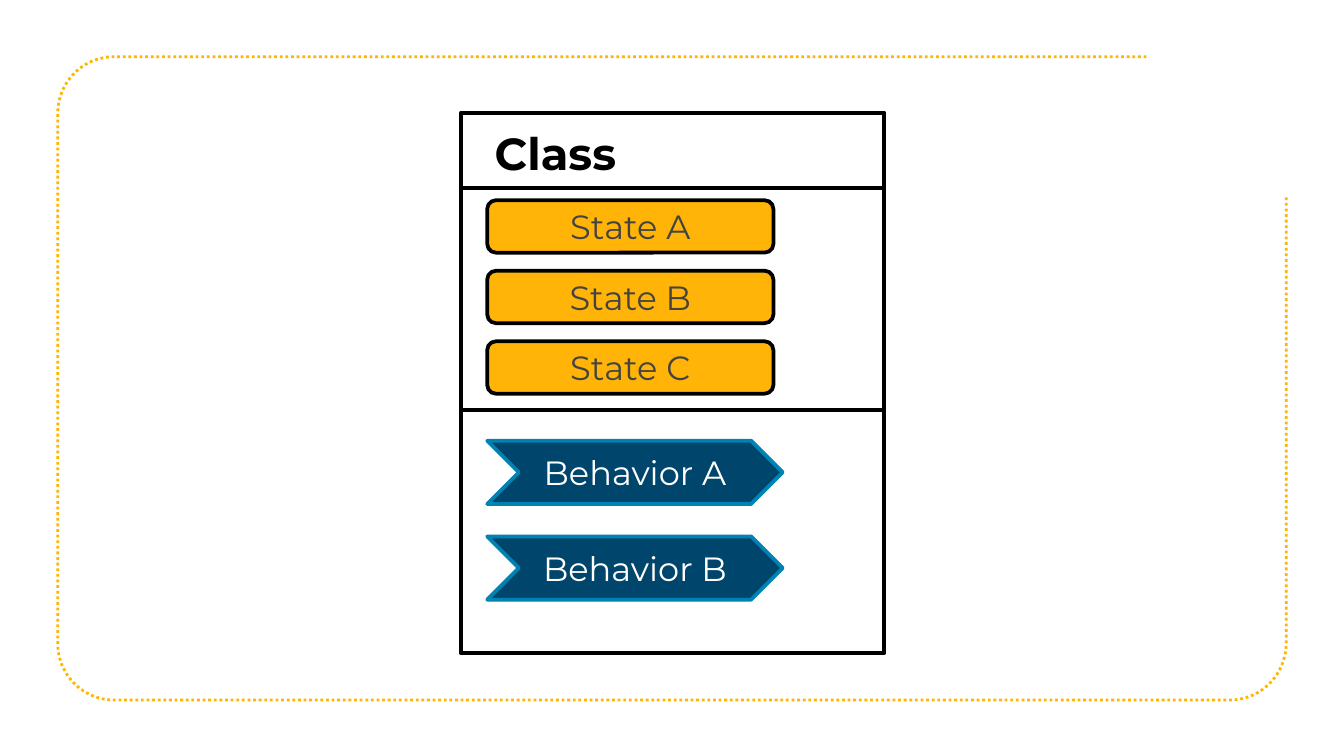
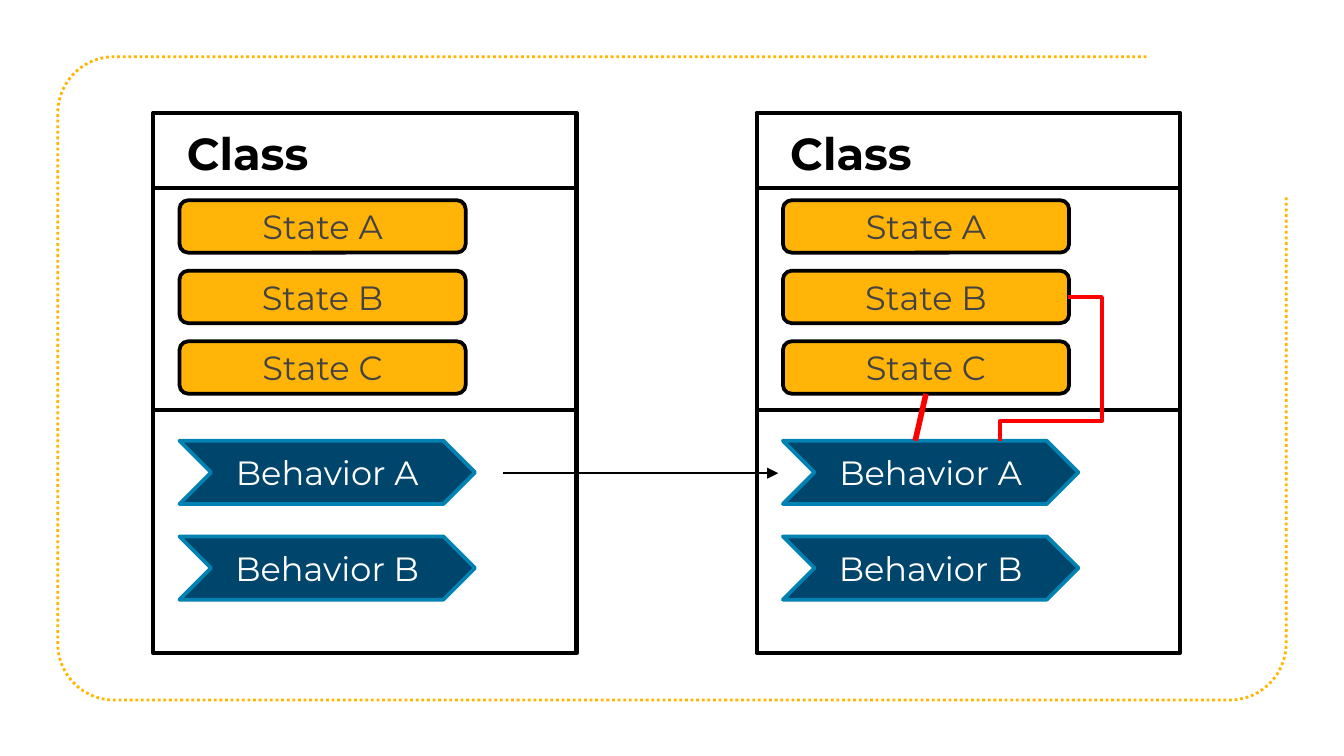
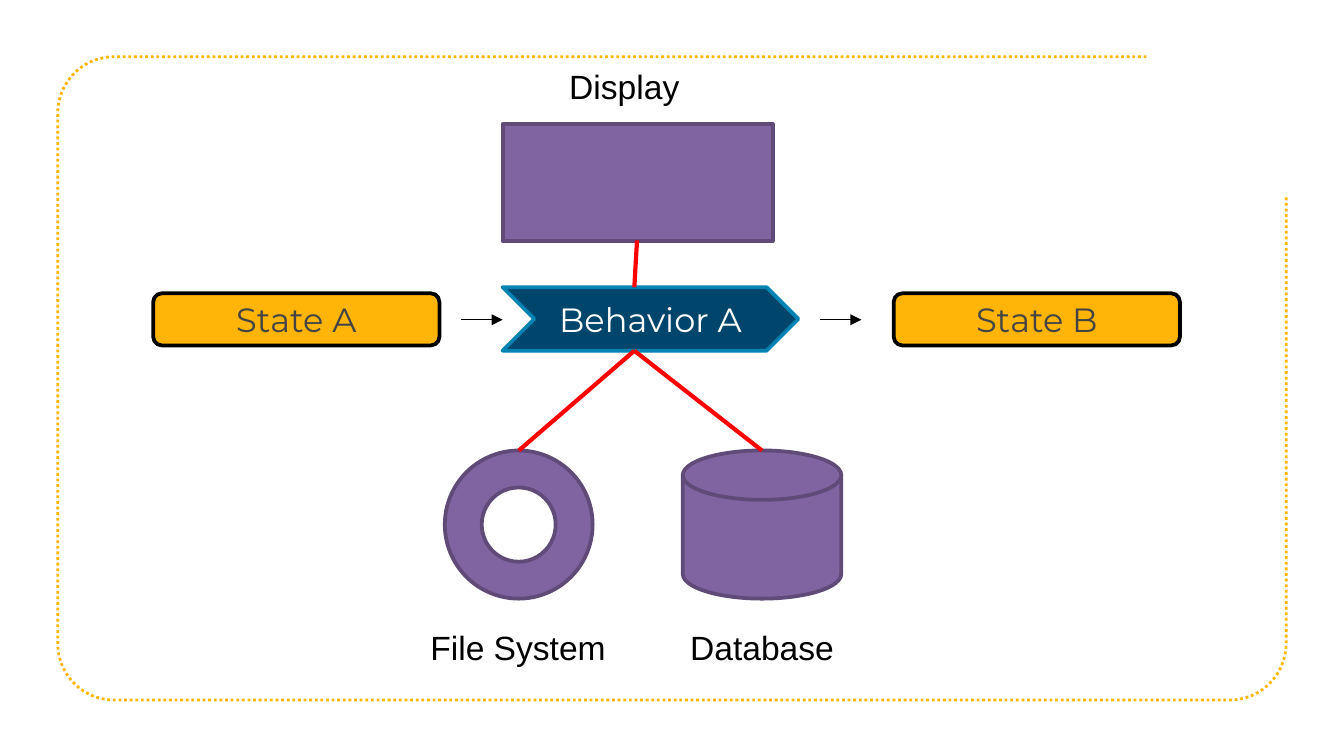
import math

from lxml import etree
from pptx import Presentation
from pptx import util as u
from pptx.dml.color import RGBColor
from pptx.enum import dml, shapes, text
from pptx.oxml.ns import qn

KIND = shapes.MSO_SHAPE
LINK = shapes.MSO_CONNECTOR
INK, RED, GREY, WHITE = "000000", "FF0000", "434343", "FFFFFF"
GOLD, AMBER = "FFB600", "FFB407"
NAVY, TEAL = "00456B", "0082B2"
PLUM, GRAPE = "8064A2", "5F4A78"
HEAD, BODY = "Montserrat", "Arial"

# Boxes are left, top, width, height in EMU; parts are in percent of a box
PAGE = (0, 0, u.Inches(10), u.Inches(5.625))


def color(code):
    return RGBColor.from_string(code)


def spot(box, x, y):
    left, top, wide, high = box
    return round(left + wide * x / 100), round(top + high * y / 100)


def part(box, x, y, w, h):
    return (*spot(box, x, y), round(box[2] * w / 100), round(box[3] * h / 100))


def stroke(line, code, width):
    line.color.rgb = color(code)
    line.width = u.Pt(width)


def write(frame, words, size, font, code, bold=False, center=True):
    para = frame.paragraphs[0]
    para.alignment = text.PP_ALIGN.CENTER if center else text.PP_ALIGN.LEFT
    run = para.add_run()
    run.text = words
    run.font.size = u.Pt(size)
    run.font.name = font
    run.font.bold = bold
    run.font.color.rgb = color(code)


def shape(tree, kind, box, fill, edge, width=2):
    item = tree.add_shape(kind, *box)
    item.shadow.inherit = False
    if fill:
        item.fill.solid()
        item.fill.fore_color.rgb = color(fill)
    else:
        item.fill.background()
    stroke(item.line, edge, width)
    return item


def label(tree, box, words, size=18, font=BODY, **style):
    frame = tree.add_textbox(*box).text_frame
    frame.word_wrap = True
    frame.auto_size = text.MSO_AUTO_SIZE.SHAPE_TO_FIT_TEXT
    write(frame, words, size, font, INK, **style)


def link(tree, start, end, code, width, kind=LINK.STRAIGHT):
    item = tree.add_connector(kind, *start, *end)
    stroke(item.line, code, width)
    etree.SubElement(item._element.spPr, qn("a:effectLst"))
    return item


def arrow(tree, start, end):
    item = link(tree, start, end, INK, 0.75)
    etree.SubElement(item.line._get_or_add_ln(), qn("a:tailEnd"), type="triangle")


def elbow(tree, start, end, *bends):
    item = link(tree, start, end, RED, 2.25, LINK.ELBOW)
    geom = item._element.spPr.find(qn("a:prstGeom"))
    geom.set("prst", "bentConnector4")
    guides = geom.find(qn("a:avLst"))
    for num, bend in enumerate(bends, 1):
        etree.SubElement(guides, qn("a:gd"), name=f"adj{num}", fmla=f"val {bend}")


# Pieces that recur on the slides
def state(tree, box, name):
    item = shape(tree, KIND.ROUNDED_RECTANGLE, box, AMBER, INK)
    item.text_frame.vertical_anchor = text.MSO_ANCHOR.MIDDLE
    write(item.text_frame, "State " + name, 18, HEAD, GREY)


def action(tree, box, name):
    item = shape(tree, KIND.CHEVRON, box, NAVY, TEAL)
    item.text_frame.vertical_anchor = text.MSO_ANCHOR.MIDDLE
    write(item.text_frame, "Behavior " + name, 18, HEAD, WHITE)


def card(tree, box):
    shape(tree, KIND.RECTANGLE, box, None, INK, 2.25)
    for y in (14, 55):
        link(tree, spot(box, 0, y), spot(box, 100, y), INK, 2.25)
    label(tree, part(box, 4.8, 1.2, 62.5, 12.4), "Class", 24, HEAD,
          bold=True, center=False)
    for row, name in enumerate("ABC"):
        state(tree, part(box, 6.2, 16.2 + 13.05 * row, 67.6, 9.7), name)
    for row, name in enumerate("AB"):
        action(tree, part(box, 6.2, 60.7 + 17.7 * row, 69.8, 11.7), name)


def border(tree, box):
    """Dotted frame, open at the top right corner."""
    left, top, wide, high = box
    rad = u.Inches(0.42)
    right, base = left + wide, top + high
    points = [spot(PAGE, 85.3, 7.5)]
    corners = ((left + rad, top + rad, 270), (left + rad, base - rad, 180),
               (right - rad, base - rad, 90))
    for x, y, turn in corners:
        for step in range(0, 91, 6):
            angle = math.radians(turn - step)
            points.append((x + rad * math.cos(angle), y + rad * math.sin(angle)))
    points.append(spot(PAGE, 95.7, 26))
    path = tree.build_freeform(*points[0])
    path.add_line_segments(points[1:], close=False)
    item = path.convert_to_shape()
    item.shadow.inherit = False
    item.fill.background()
    stroke(item.line, GOLD, 1.5)
    item.line.dash_style = dml.MSO_LINE.ROUND_DOT


def sheet(deck):
    tree = deck.slides.add_slide(deck.slide_layouts[6]).shapes
    border(tree, part(PAGE, 4.3, 7.5, 91.4, 85.1))
    return tree


# Slides
def single(deck):
    card(sheet(deck), part(PAGE, 34.3, 14.9, 31.5, 71.5))


def pair(deck):
    tree = sheet(deck)
    for x in (56.3, 11.4):
        card(tree.add_group_shape().shapes, part(PAGE, x, 14.9, 31.5, 71.5))
    arrow(tree, spot(PAGE, 37.4, 62.6), spot(PAGE, 57.9, 62.6))
    link(tree, spot(PAGE, 68.1, 58.3), spot(PAGE, 68.9, 52.1), RED, 3)
    elbow(tree, spot(PAGE, 79.5, 39.3), spot(PAGE, 74.4, 58.3), -48800, 86400)


def flow(deck):
    tree = sheet(deck)
    # Middle row
    action(tree, part(PAGE, 37.4, 38, 22, 8.4), "A")
    for x, name in ((66.5, "B"), (11.4, "A")):
        state(tree, part(PAGE, x, 38.8, 21.3, 6.9), name)
    for x in (34.3, 61):
        arrow(tree, spot(PAGE, x, 42.3), spot(PAGE, x + 3.1, 42.3))
    # Stores below
    stores = (("File System", KIND.DONUT, 33.1, 11, 30.3, 16.5),
              ("Database", KIND.FLOWCHART_MAGNETIC_DISK, 50.8, 11.8, 50, 13.4))
    for name, kind, x, wide, edge, span in stores:
        shape(tree, kind, part(PAGE, x, 59.6, wide, 19.6), PLUM, GRAPE)
        label(tree, part(PAGE, edge, 82.1, span, 7.1), name)
        link(tree, spot(PAGE, x + wide / 2, 59.6), spot(PAGE, 47.2, 46.4), RED, 2.25)
    # Display above
    shape(tree, KIND.RECTANGLE, part(PAGE, 37.4, 16.4, 20.1, 15.5), PLUM, GRAPE)
    link(tree, spot(PAGE, 47.2, 38), spot(PAGE, 47.4, 31.8), RED, 2.25)
    label(tree, part(PAGE, 38.2, 7.8, 16.5, 7.1), "Display")


def main():
    deck = Presentation()
    deck.slide_width, deck.slide_height = PAGE[2:]
    for build in (single, pair, flow):
        build(deck)
    deck.save("out.pptx")


if __name__ == "__main__":
    main()
